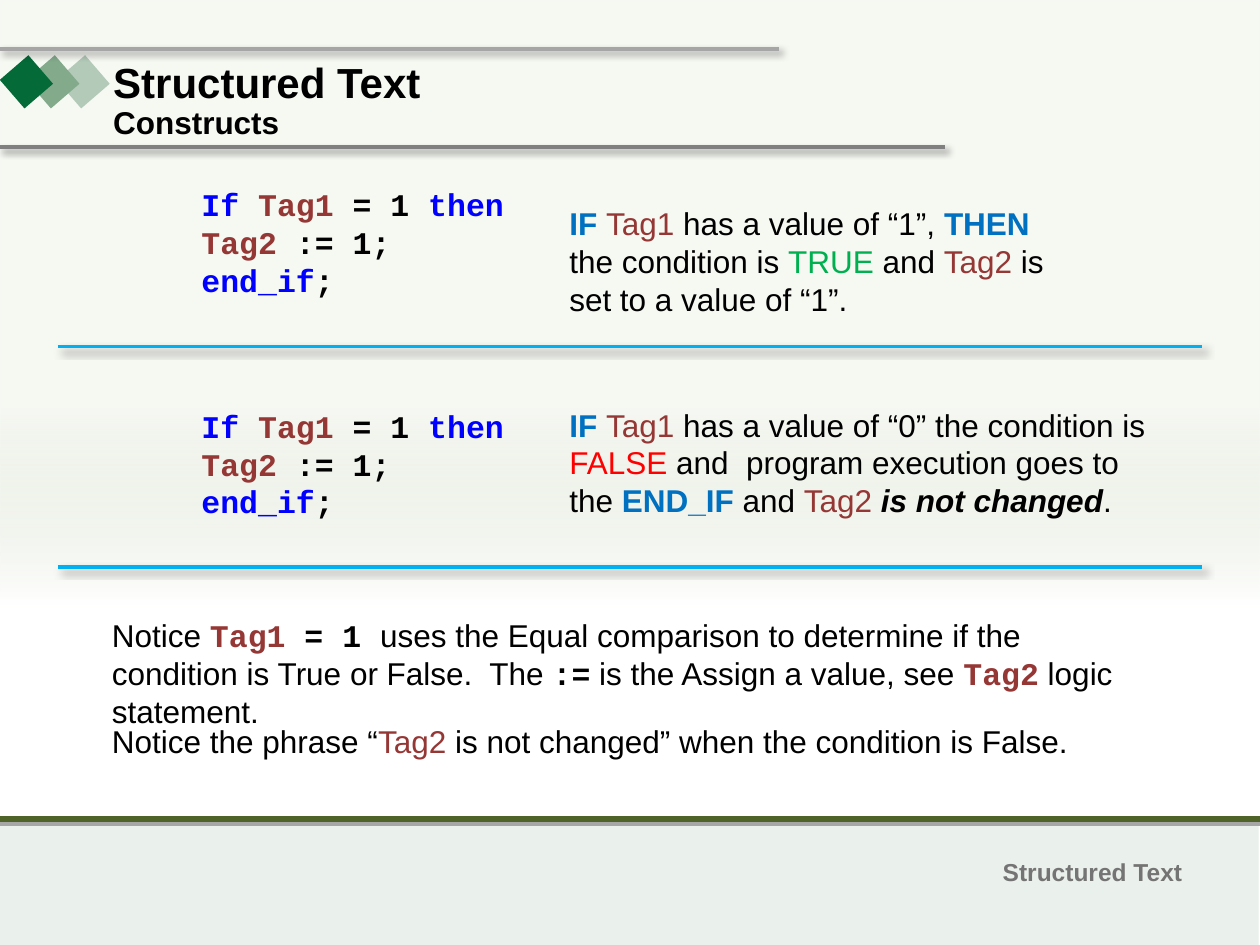
from dataclasses import dataclass
from functools import partial

from lxml import etree
from pptx import Presentation
from pptx import util as u
from pptx.dml.color import RGBColor
from pptx.enum import shapes, text
from pptx.oxml import parse_xml
from pptx.oxml.ns import nsdecls, qn


@dataclass(frozen=True)
class Theme:
    sans: str = "Arial"
    mono: str = "Courier New"
    title_size: float = 24
    body_size: float = 18
    footer_size: float = 14
    black: str = "000000"
    white: str = "FFFFFF"
    code_word: str = "0000FF"
    word: str = "0070C0"
    tag: str = "953735"
    true: str = "00B050"
    false: str = "FF0000"
    divider: str = "00B0F0"
    light_rule: str = "A6A6A6"
    dark_rule: str = "808080"
    footer_rule: str = "4F6228"
    footer_fill: str = "EAF0EB"
    footer_text: str = "757474"
    wash: str = "D1DCC3"


THEME = Theme()


@dataclass(frozen=True)
class Span:
    text: str
    color: str = THEME.black
    bold: bool = False
    italic: bool = False
    font: str = THEME.sans
    size: float = THEME.body_size


@dataclass(frozen=True)
class TextBlock:
    left: float
    top: float
    width: float
    height: float
    lines: list[list[Span]]
    wrap: bool = True


@dataclass(frozen=True)
class Rule:
    left: float
    right: float
    y: float
    color: str
    width: float = 2.25
    shadow: bool = True


@dataclass(frozen=True)
class Diamond:
    left: float
    color: str


# Recurring text styles
bold = partial(Span, bold=True)
code = partial(Span, bold=True, font=THEME.mono)
code_word = partial(code, color=THEME.code_word)
code_tag = partial(code, color=THEME.tag)
word = partial(Span, color=THEME.word, bold=True)
tag = partial(Span, color=THEME.tag)


def add_span(para, words: str, *, font: str, size: float, color: str,
             bold: bool, italic: bool) -> None:
    run = para.add_run()
    run.text = words
    run.font.name = font
    run.font.size = u.Pt(size)
    run.font.bold = bold
    run.font.italic = italic
    run.font.color.rgb = RGBColor.from_string(color)


def add_text(page, block: TextBlock) -> None:
    box = page.shapes.add_textbox(u.Pt(block.left), u.Pt(block.top),
                                  u.Pt(block.width), u.Pt(block.height))
    frame = box.text_frame
    frame.word_wrap = block.wrap
    frame.auto_size = text.MSO_AUTO_SIZE.SHAPE_TO_FIT_TEXT
    for index, line in enumerate(block.lines):
        para = frame.add_paragraph() if index else frame.paragraphs[0]
        for span in line:
            add_span(para, span.text, font=span.font, size=span.size,
                     color=span.color, bold=span.bold, italic=span.italic)


def add_rule(page, rule: Rule) -> None:
    line = page.shapes.add_connector(shapes.MSO_CONNECTOR.STRAIGHT, u.Pt(rule.left),
                                     u.Pt(rule.y), u.Pt(rule.right), u.Pt(rule.y))
    line.line.color.rgb = RGBColor.from_string(rule.color)
    line.line.width = u.Pt(rule.width)
    effects = etree.SubElement(line._element.spPr, qn("a:effectLst"))
    if rule.shadow:
        effects.append(parse_xml(
            f'<a:outerShdw {nsdecls("a")} blurRad="{u.Pt(4)}" dist="{u.Pt(3)}" '
            f'dir="2700000" algn="tl" rotWithShape="0"><a:srgbClr val="{THEME.black}">'
            '<a:alpha val="40000"/></a:srgbClr></a:outerShdw>'))


def add_panel(page, left: float, top: float, width: float, height: float,
              color: str, rotation: float = 0):
    panel = page.shapes.add_shape(shapes.MSO_SHAPE.RECTANGLE, u.Pt(left), u.Pt(top),
                                  u.Pt(width), u.Pt(height))
    panel.shadow.inherit = False
    panel.fill.solid()
    panel.fill.fore_color.rgb = RGBColor.from_string(color)
    panel.line.fill.background()
    panel.rotation = rotation
    return panel


def add_wash(page, width: float, height: float) -> None:
    """Panel that fades from a translucent tint to white, top to bottom."""
    properties = add_panel(page, 0, 0, width, height, THEME.white)._element.spPr
    stops = [(50, THEME.wash, 20), (74, THEME.white, 100), (100, THEME.white, 100)]
    stop_xml = "".join(
        f'<a:gs pos="{place * 1000}"><a:srgbClr val="{color}">'
        f'<a:alpha val="{alpha * 1000}"/></a:srgbClr></a:gs>'
        for place, color, alpha in stops)
    gradient = parse_xml(f'<a:gradFill {nsdecls("a")} rotWithShape="1"><a:gsLst>{stop_xml}'
                         '</a:gsLst><a:lin ang="5400000" scaled="0"/></a:gradFill>')
    properties.replace(properties.find(qn("a:solidFill")), gradient)


PAGE_WIDTH, PAGE_HEIGHT, FOOTER_TOP = 720, 540, 468
CODE_LEFT, MEANING_LEFT, NOTE_LEFT, TITLE_LEFT = 108, 318.24, 56.88, 57.6

FOOTER_RULES = [
    Rule(0, PAGE_WIDTH, 470.88, THEME.light_rule, shadow=False),
    Rule(0, PAGE_WIDTH, FOOTER_TOP, THEME.footer_rule, 3, shadow=False),
]
DIAMONDS = [Diamond(36.72, "B4CAB8"), Diamond(19.44, "84AA8C"), Diamond(4.32, "046A38")]
RULES = [
    Rule(-0.72, 540, 84.24, THEME.dark_rule),
    Rule(-0.72, 444.96, 28.08, THEME.light_rule),
    *(Rule(33.12, 686.88, y, THEME.divider) for y in (198, 324)),
]

CODE_LINES = [
    [code_word("If "), code_tag("Tag1"), code(" = 1 "), code_word("then")],
    [code_tag("Tag2"), code(" := 1;")],
    [code_word("end_if"), code(";")],
]
TRUE_CASE = [
    word("IF "), tag("Tag1"), Span(" has a value of “1”, "), word("THEN"),
    Span(" the condition is "), Span("TRUE", THEME.true), Span(" and "), tag("Tag2"),
    Span(" is set to a value of “1”."),
]
FALSE_CASE = [
    word("IF "), tag("Tag1"), Span(" has a value of “0” the condition is "),
    Span("FALSE", THEME.false), Span(" and  program execution goes to the "),
    word("END_IF"), Span(" and "), tag("Tag2 "), bold("is not changed", italic=True), Span("."),
]
OPERATOR_NOTE = [
    Span("Notice "), code_tag("Tag1"), code(" = 1 "),
    Span("uses the Equal comparison to determine if the condition is True or False.  The "),
    code(":="), Span(" is the Assign a value, see "), code_tag("Tag2"),
    Span(" logic statement."),
]
PHRASE_NOTE = [Span("Notice the phrase “"), tag("Tag2"),
               Span(" is not changed” when the condition is False.")]
FOOTER = bold("Structured Text", THEME.footer_text, size=THEME.footer_size)

TEXTS = [
    TextBlock(565.92, 486, 117.36, 24.48, [[FOOTER]], wrap=False),
    *(TextBlock(CODE_LEFT, top, 187.92, 72.72, CODE_LINES, wrap=False)
      for top in (102.24, 228.96)),
    TextBlock(MEANING_LEFT, 113.04, 293.04, 72.72, [TRUE_CASE]),
    TextBlock(MEANING_LEFT, 228.24, 344.88, 72.72, [FALSE_CASE]),
    TextBlock(NOTE_LEFT, 348.48, 606.24, 51.12, [OPERATOR_NOTE]),
    TextBlock(NOTE_LEFT, 408.96, 560.88, 28.8, [PHRASE_NOTE], wrap=False),
    TextBlock(TITLE_LEFT, 28.8, 195.12, 36, [[bold("Structured Text", size=THEME.title_size)]]),
    TextBlock(TITLE_LEFT, 55.44, 110.16, 28.8, [[bold("Constructs")]], wrap=False),
]


def main() -> None:
    deck = Presentation()
    deck.slide_width, deck.slide_height = u.Pt(PAGE_WIDTH), u.Pt(PAGE_HEIGHT)
    page = deck.slides.add_slide(deck.slide_layouts[6])
    # Background and footer band
    add_panel(page, -0.72, FOOTER_TOP, PAGE_WIDTH, PAGE_HEIGHT - FOOTER_TOP, THEME.footer_fill)
    add_wash(page, PAGE_WIDTH, FOOTER_TOP)
    for rule in FOOTER_RULES:
        add_rule(page, rule)
    # Header diamonds, rules and dividers
    for diamond in DIAMONDS:
        add_panel(page, diamond.left, 36, 21.6, 21.6, diamond.color, rotation=49.2)
    for rule in RULES:
        add_rule(page, rule)
    # Wording
    for block in TEXTS:
        add_text(page, block)
    deck.save("out.pptx")


if __name__ == "__main__":
    main()
